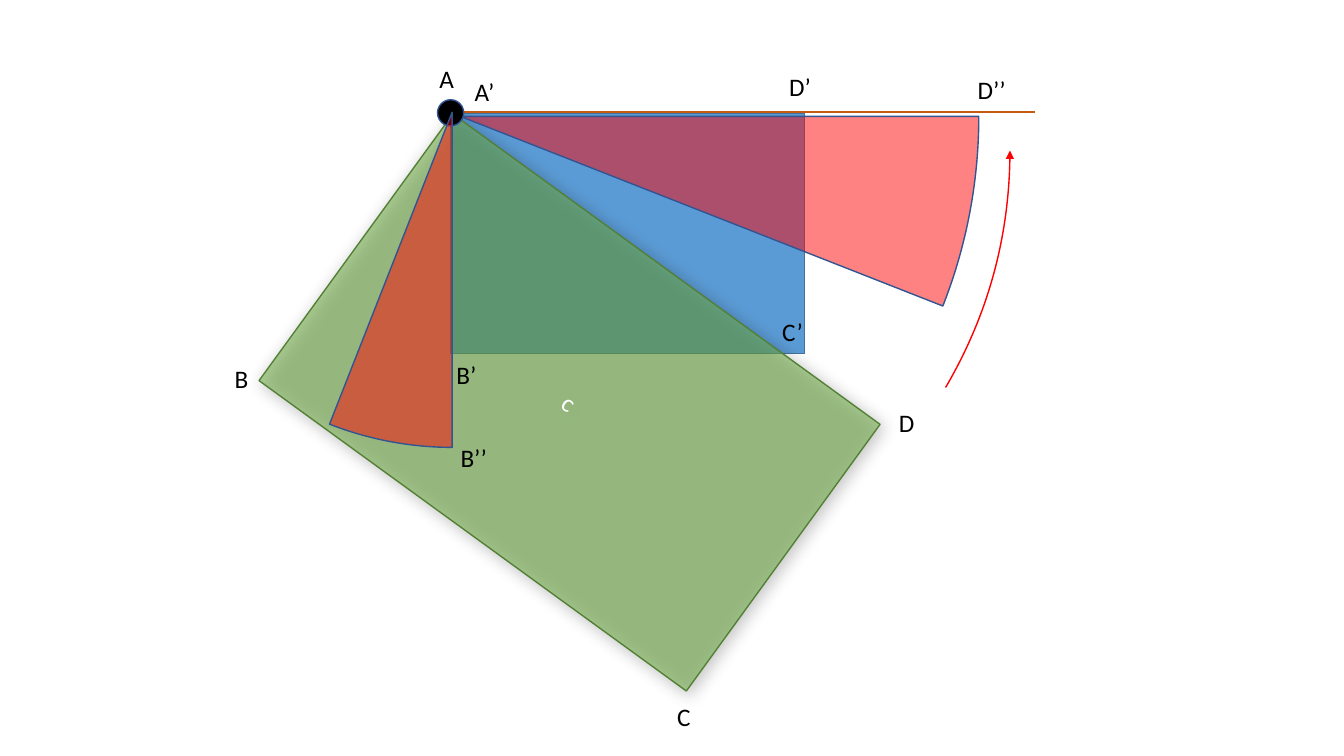
"""Build a slide that shows a rectangle turning about its corner A."""
import collections

import lxml.etree
import pptx
import pptx.dml.color
import pptx.enum.shapes
import pptx.enum.text
import pptx.oxml
import pptx.oxml.ns
import pptx.util

COLORS = {
    "blue": "5B9BD5", "blue edge": "43739E", "navy": "325491",
    "green": "70AD47", "green edge": "538035", "rust": "C55A11",
    "red": "FF0000", "black": "000000", "white": "FFFFFF",
}
SHAPES = pptx.enum.shapes.MSO_SHAPE
FONT, FONT_SIZE = "Calibri", 18
COLUMNS = 100
PIVOT = (33.53, 8.4)
SECTOR_ANGLES = (0, 21.46)

LABELS = [
    ("A", 31.95, 4.35, 2.6), ("B", 16.73, 26.7, 2.6),
    ("C", 49.65, 51.83, 2.6), ("D", 66.15, 29.93, 2.7),
    ("A’", 34.58, 5.33, 3), ("B’", 33.23, 26.4, 3),
    ("C’", 57.45, 23.18, 3.1), ("D’", 57.98, 4.95, 3.15),
    ("B’’", 33.53, 32.55, 3.45), ("D’’", 72, 5.18, 3.6),
]

Box = collections.namedtuple("Box", "left top cell")


def rgb(name):
    """Return the named colour."""
    return pptx.dml.color.RGBColor.from_string(COLORS[name])


def place(box, column, row):
    """Return the slide position of a grid point in the box."""
    return round(box.left + column * box.cell), round(box.top + row * box.cell)


def child(parent, tag, **attributes):
    """Append a drawing element to its parent."""
    names = {key: str(value) for key, value in attributes.items()}
    return lxml.etree.SubElement(parent, pptx.oxml.ns.qn(tag), names)


def set_font(paragraph, color):
    """Give a paragraph the slide's font."""
    paragraph.font.name = FONT
    paragraph.font.size = pptx.util.Pt(FONT_SIZE)
    paragraph.font.color.rgb = rgb(color)


def add_figure(slide, box, kind, center, size, edge, fill=None, opacity=None,
               angles=(), rotation=0):
    """Add a preset shape around a centre point."""
    width, height = size
    corner = place(box, center[0] - width / 2, center[1] - height / 2)
    figure = slide.shapes.add_shape(
        kind, *corner, round(width * box.cell), round(height * box.cell))
    figure.shadow.inherit = False
    figure.rotation = rotation
    for index, angle in enumerate(angles):
        figure.adjustments[index] = angle * 0.6
    figure.line.color.rgb = rgb(edge)
    figure.line.width = pptx.util.Pt(1)
    if fill is None:
        figure.fill.background()
    else:
        figure.fill.solid()
        figure.fill.fore_color.rgb = rgb(fill)
    if opacity is not None:
        tint = figure.fill._xPr.find(".//" + pptx.oxml.ns.qn("a:srgbClr"))
        child(tint, "a:alpha", val=opacity * 1000)
    return figure


def add_turned_rectangle(slide, box):
    """Add the large green rectangle with its shadow and letter."""
    rectangle = add_figure(slide, box, SHAPES.RECTANGLE, (42.38, 29.96), (39.3, 24.53),
                           "green edge", "green", 56, rotation=36)
    effects = rectangle._element.spPr.find(pptx.oxml.ns.qn("a:effectLst"))
    shadow = child(effects, "a:outerShdw", blurRad=pptx.util.Pt(12), dist=pptx.util.Pt(3),
                   dir=45 * 60000, algn="tl", rotWithShape=0)
    child(child(shadow, "a:srgbClr", val=COLORS["black"]), "a:alpha", val=40000)
    frame = rectangle.text_frame
    frame.vertical_anchor = pptx.enum.text.MSO_ANCHOR.MIDDLE
    letter = frame.paragraphs[0]
    letter.text = "c"
    letter.alignment = pptx.enum.text.PP_ALIGN.CENTER
    set_font(letter, "white")


def add_labels(slide, box):
    """Name the corners of the rectangles."""
    for name, column, row, width in LABELS:
        label = slide.shapes.add_textbox(
            *place(box, column, row), round(width * box.cell), round(3 * box.cell))
        label.text_frame.word_wrap = False
        label.text_frame.auto_size = pptx.enum.text.MSO_AUTO_SIZE.SHAPE_TO_FIT_TEXT
        label.text_frame.text = name
        set_font(label.text_frame.paragraphs[0], "black")


def add_base_line(slide, box):
    """Draw the horizontal line from the pivot."""
    base = slide.shapes.add_connector(
        pptx.enum.shapes.MSO_CONNECTOR.STRAIGHT,
        *place(box, PIVOT[0], 8.33), *place(box, 77.03, 8.33))
    base.line.color.rgb = rgb("rust")
    base.line.width = pptx.util.Pt(2)
    child(base._element.spPr, "a:effectLst")


def add_sector(slide, box, center, diameter, rotation):
    """Add a translucent red sector swept by a corner."""
    add_figure(slide, box, SHAPES.PIE, center, (diameter, diameter), "navy", "red", 49,
               SECTOR_ANGLES, rotation)


def add_turn_arrow(slide, box):
    """Add the curved arrow that shows the direction of the turn."""
    arrow = add_figure(slide, box, SHAPES.ARC, (40.31, 11.21), (69.68, 69.68), "red",
                       angles=(0, 30.4))
    child(arrow.line._get_or_add_ln(), "a:headEnd", type="triangle")


def add_rotation_diagram(slide, box):
    """Draw the whole diagram from back to front."""
    width, height = 26.33, 17.93
    center = (PIVOT[0] + width / 2, PIVOT[1] + height / 2)
    add_figure(slide, box, SHAPES.RECTANGLE, center, (width, height), "blue edge", "blue")
    add_turned_rectangle(slide, box)
    add_labels(slide, box)
    add_base_line(slide, box)
    add_sector(slide, box, (34.24, 8.66), 77.18, 0)
    add_figure(slide, box, SHAPES.OVAL, PIVOT, (1.95, 1.95), "navy", "black")
    add_turn_arrow(slide, box)
    add_sector(slide, box, (33.64, 8.36), 49.88, 90)


def main():
    """Create and save the presentation."""
    presentation = pptx.Presentation()
    presentation.slide_width = pptx.util.Inches(13.33)
    presentation.slide_height = pptx.util.Inches(7.5)
    slide = presentation.slides.add_slide(presentation.slide_layouts[6])
    add_rotation_diagram(slide, Box(0, 0, presentation.slide_width / COLUMNS))
    presentation.save("out.pptx")


if __name__ == "__main__":
    main()
